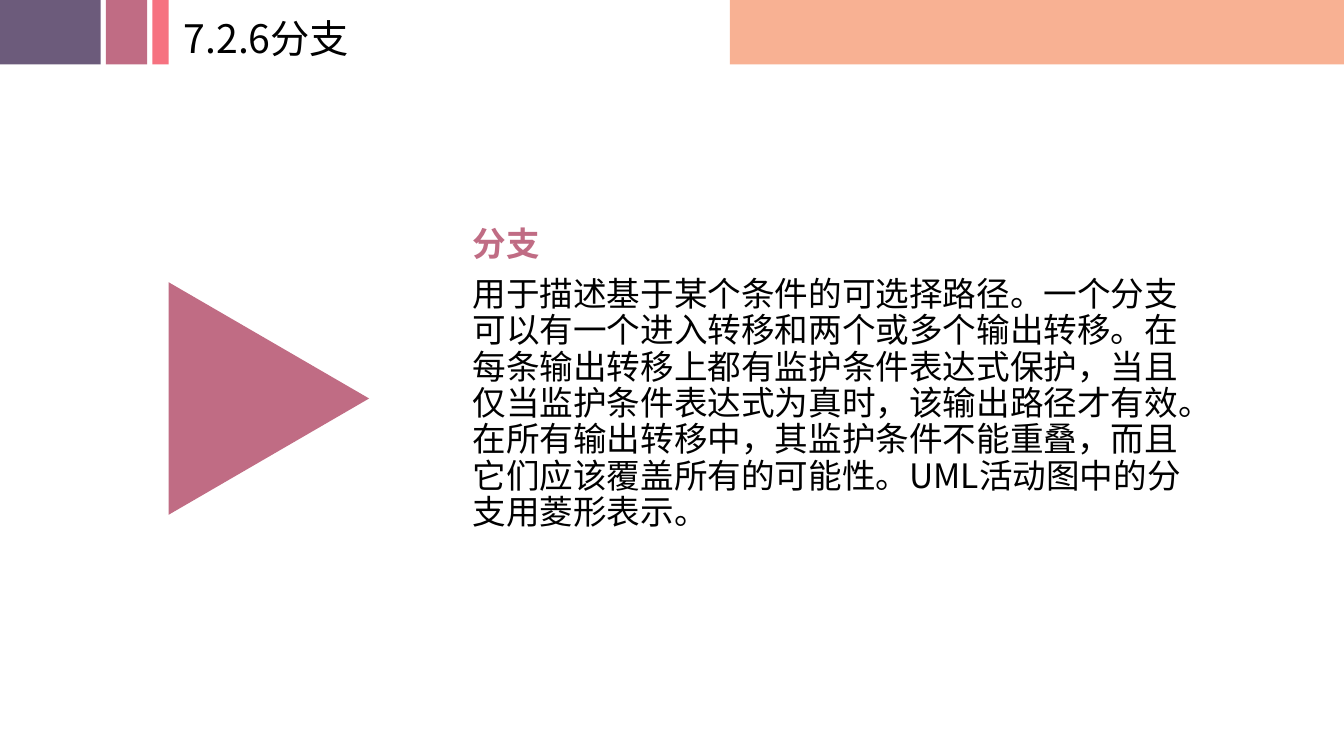
"""Build the slide that explains branches in UML activity diagrams."""
from dataclasses import dataclass

from lxml.etree import SubElement
from pptx import Presentation
from pptx.dml.color import RGBColor
from pptx.enum.shapes import MSO_SHAPE
from pptx.enum.text import MSO_ANCHOR, MSO_AUTO_SIZE, PP_ALIGN
from pptx.oxml.ns import qn
from pptx.util import Pt


@dataclass(frozen=True)
class Theme:
    font: str = "Noto Sans CJK SC"
    black: str = "000000"
    peach: str = "F8B193"
    purple: str = "6C5B7B"
    rose: str = "C06C84"
    coral: str = "F67280"
    title_size: float = 28
    body_size: float = 24
    title_leading: float = 33.6
    body_leading: float = 25.92


def write_text(paragraph, text, *, font, size, color, leading, bold=False, before=0):
    paragraph.alignment = PP_ALIGN.LEFT
    paragraph.line_spacing = Pt(leading)
    paragraph.space_before = Pt(before)
    span = paragraph.add_run()
    span.text = text
    span.font.name = font
    span.font.size = Pt(size)
    span.font.bold = bold
    span.font.color.rgb = RGBColor.from_string(color)
    SubElement(span.font._element, qn("a:ea"), typeface=font)


class SlideBuilder:
    def __init__(self, page, theme):
        self.page = page
        self.theme = theme

    def shape(self, kind, left, top, width, height, color, rotation=0):
        shape = self.page.shapes.add_shape(kind, Pt(left), Pt(top), Pt(width), Pt(height))
        shape.shadow.inherit = False
        shape.fill.solid()
        shape.fill.fore_color.rgb = RGBColor.from_string(color)
        shape.line.fill.background()
        shape.rotation = rotation

    def frame(self, box, left, top, width, height, wrap):
        box.left, box.top, box.width, box.height = map(Pt, (left, top, width, height))
        frame = box.text_frame
        frame.word_wrap = wrap
        frame.auto_size = MSO_AUTO_SIZE.SHAPE_TO_FIT_TEXT
        frame.vertical_anchor = MSO_ANCHOR.TOP
        return frame

    def title(self, text, left, top, width, height):
        theme = self.theme
        frame = self.frame(self.page.shapes.title, left, top, width, height, wrap=False)
        write_text(frame.paragraphs[0], text, font=theme.font, size=theme.title_size,
                   color=theme.black, leading=theme.title_leading)

    def definition(self, term, meaning, left, top, width, height):
        theme = self.theme
        box = self.page.shapes.add_textbox(0, 0, 0, 0)
        frame = self.frame(box, left, top, width, height, wrap=True)
        style = dict(font=theme.font, size=theme.body_size, leading=theme.body_leading)
        write_text(frame.paragraphs[0], term, color=theme.rose, bold=True, **style)
        write_text(frame.add_paragraph(), meaning, color=theme.black, before=10, **style)


def main():
    deck = Presentation()
    deck.slide_width, deck.slide_height = Pt(960), Pt(540)
    page = deck.slides.add_slide(deck.slide_layouts[5])
    theme = Theme()
    builder = SlideBuilder(page, theme)

    header_bands = [
        (521.3, 438.7, theme.peach),
        (0, 72, theme.purple),
        (75.6, 29.5, theme.rose),
        (108.9, 11.5, theme.coral),
    ]
    for left, width, color in header_bands:
        builder.shape(MSO_SHAPE.RECTANGLE, left, 0, width, 46, color)

    builder.title("7.2.6分支", 124, 6.5, 142, 41)
    builder.definition(
        "分支",
        "用于描述基于某个条件的可选择路径。一个分支可以有一个进入转移和两个或多个输出转移。"
        "在每条输出转移上都有监护条件表达式保护，当且仅当监护条件表达式为真时，该输出路径才有效。"
        "在所有输出转移中，其监护条件不能重叠，而且它们应该覆盖所有的可能性。"
        "UML活动图中的分支用菱形表示。",
        330.5, 158.5, 535, 225)
    builder.shape(MSO_SHAPE.ISOSCELES_TRIANGLE, 108.9, 213, 166.2, 143.3, theme.rose, rotation=90)
    deck.save("out.pptx")


if __name__ == "__main__":
    main()
